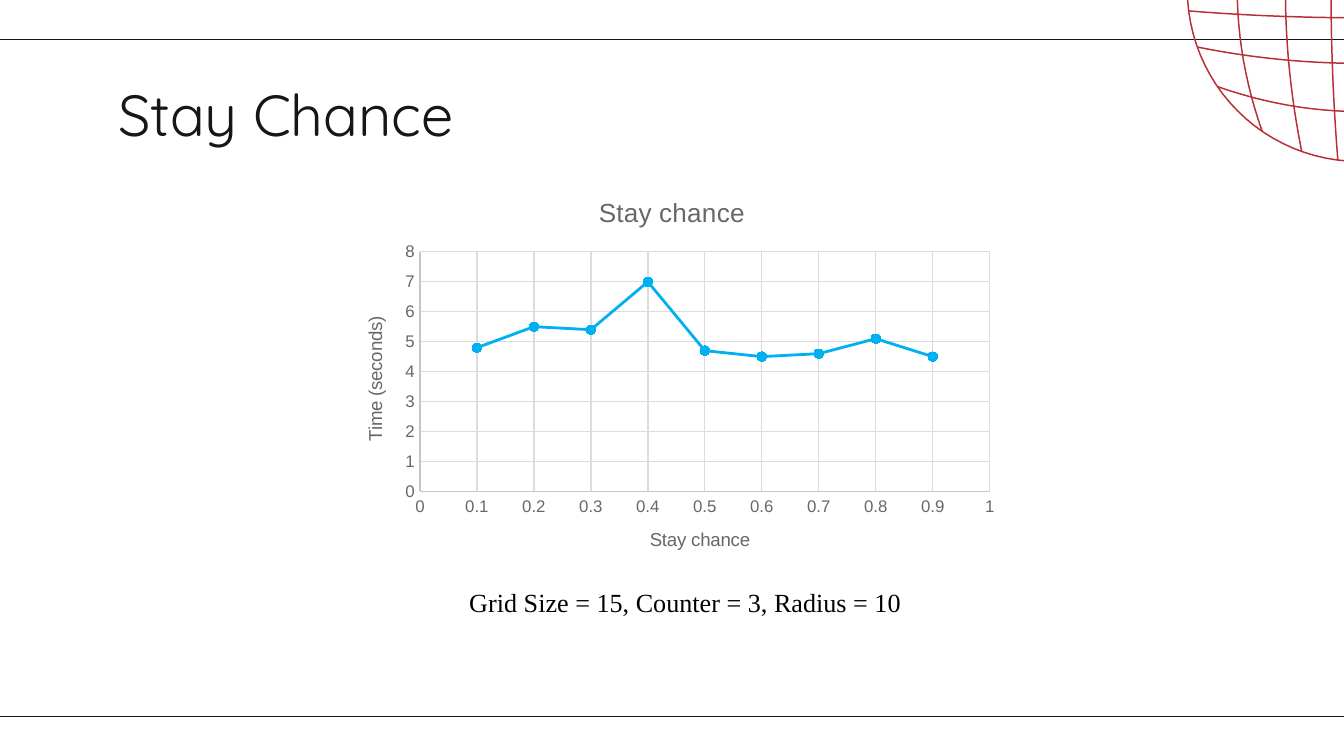
"""Build the stay chance slide: a title, a scatter chart and its settings."""
import math
from dataclasses import dataclass

import lxml.etree
import pptx
import pptx.chart.data
import pptx.dml.color
import pptx.enum.chart
import pptx.enum.shapes
import pptx.enum.text
import pptx.oxml.ns
import pptx.util

SLIDE_WIDTH = pptx.util.Inches(10)
SLIDE_HEIGHT = SLIDE_WIDTH * 9 // 16

INK = pptx.dml.color.RGBColor(0x16, 0x16, 0x16)
BLACK = pptx.dml.color.RGBColor(0x00, 0x00, 0x00)
GLOBE_RED = pptx.dml.color.RGBColor(0xB9, 0x2F, 0x38)
LABEL_GREY = pptx.dml.color.RGBColor(0x68, 0x68, 0x68)
AXIS_GREY = pptx.dml.color.RGBColor(0xC5, 0xC5, 0xC5)
GRID_GREY = pptx.dml.color.RGBColor(0xDC, 0xDC, 0xDC)
SERIES_BLUE = pptx.dml.color.RGBColor(0x00, 0xB0, 0xF0)

STAY_TIMES = (4.8, 5.5, 5.4, 7, 4.7, 4.5, 4.6, 5.1, 4.5)
PLOT_SHARES = {"x": 0.125, "y": 0.188, "w": 0.848, "h": 0.595}
RULE_HEIGHTS = (0.052, 0.948)


@dataclass(frozen=True)
class Area:
    """A rectangle in shares of the slide's size."""
    left: float
    top: float
    width: float
    height: float

    def box(self) -> tuple[int, int, int, int]:
        """Return left, top, width and height as lengths."""
        return (round(self.left * SLIDE_WIDTH), round(self.top * SLIDE_HEIGHT),
                round(self.width * SLIDE_WIDTH), round(self.height * SLIDE_HEIGHT))


@dataclass(frozen=True)
class Wire:
    """A globe wire, offset from the centre in shares of the radius."""
    end: float
    middle: float

    def points(self, side: int, steps: int = 24) -> list[tuple[float, float]]:
        """Return a curve whose ends lie on the globe's rim."""
        reach = math.sqrt(1 - self.end ** 2)
        shares = [2 * step / steps - 1 for step in range(steps + 1)]
        return [(side * (self.middle + (self.end - self.middle) * share ** 2),
                 share * reach) for share in shares]


@dataclass(frozen=True)
class AxisScale:
    """The title, end and step of an axis that starts at zero."""
    title: str
    end: float
    step: float


TITLE_AREA = Area(0.078, 0.086, 0.805, 0.204)
CHART_AREA = Area(0.25, 0.233, 0.5, 0.533)
CAPTION_AREA = Area(0.225, 0.767, 0.57, 0.06)
GLOBE_CENTER = (1.0115, -0.014)
GLOBE_RADIUS = 0.128
GLOBE_WIRES = (Wire(0.125, 0.165), Wire(0.335, 0.43), Wire(0.565, 0.71))


def style_run(run, size: float, face: str, color) -> None:
    """Set the font of one run."""
    run.font.size = pptx.util.Pt(size)
    run.font.name = face
    run.font.bold = False
    run.font.color.rgb = color


def write(frame, text: str, size: float, face: str, color):
    """Add one run to a frame and return its paragraph."""
    paragraph = frame.paragraphs[0]
    run = paragraph.add_run()
    run.text = text
    style_run(run, size, face, color)
    return paragraph


def style_line(line, color, width: float) -> None:
    """Set the colour and width of a line."""
    line.color.rgb = color
    line.width = pptx.util.Pt(width)


def draw_rule(slide, height: float) -> None:
    """Draw a line across the slide."""
    level = round(height * SLIDE_HEIGHT)
    rule = slide.shapes.add_connector(
        pptx.enum.shapes.MSO_CONNECTOR.STRAIGHT, 0, level, SLIDE_WIDTH, level)
    style_line(rule.line, INK, 0.75)
    lxml.etree.SubElement(rule._element.spPr, pptx.oxml.ns.qn("a:effectLst"))


def draw_globe(slide) -> None:
    """Draw the rim, meridians and parallels as one outline."""
    rim = [(math.cos(math.tau * step / 96), math.sin(math.tau * step / 96))
           for step in range(97)]
    meridians = [wire.points(side) for wire in GLOBE_WIRES for side in (-1, 1)]
    parallels = [[(across, along) for along, across in curve] for curve in meridians]
    radius = GLOBE_RADIUS * SLIDE_WIDTH
    center_x = GLOBE_CENTER[0] * SLIDE_WIDTH
    center_y = GLOBE_CENTER[1] * SLIDE_HEIGHT
    contours = [[(round(center_x + radius * x), round(center_y + radius * y))
                 for x, y in curve] for curve in [rim, *meridians, *parallels]]
    builder = slide.shapes.build_freeform(*contours[0][0])
    builder.add_line_segments(contours[0][1:], close=False)
    for contour in contours[1:]:
        builder.move_to(*contour[0])
        builder.add_line_segments(contour[1:], close=False)
    globe = builder.convert_to_shape()
    globe.shadow.inherit = False
    globe.fill.background()
    style_line(globe.line, GLOBE_RED, 0.8)


def format_axis(axis, scale: AxisScale) -> None:
    """Set an axis's scale, title, labels and lines."""
    axis.minimum_scale, axis.maximum_scale = 0, scale.end
    axis.major_unit = scale.step
    axis.major_tick_mark = axis.minor_tick_mark = pptx.enum.chart.XL_TICK_MARK.NONE
    axis.has_major_gridlines = True
    style_line(axis.major_gridlines.format.line, GRID_GREY, 0.75)
    style_line(axis.format.line, AXIS_GREY, 0.75)
    axis.tick_labels.font.size = pptx.util.Pt(9)
    axis.tick_labels.font.name = "Arial"
    axis.tick_labels.font.color.rgb = LABEL_GREY
    axis.tick_labels.number_format = "General"
    axis.tick_labels.number_format_is_linked = False
    write(axis.axis_title.text_frame, scale.title, 10, "Arial", LABEL_GREY)


def place_plot(chart) -> None:
    """Fix the inner plot area in shares of the chart's size."""
    qn = pptx.oxml.ns.qn
    plot_area = chart._chartSpace.chart.plotArea
    for old_layout in plot_area.findall(qn("c:layout")):
        plot_area.remove(old_layout)
    layout = lxml.etree.Element(qn("c:layout"))
    plot_area.insert(0, layout)
    manual = lxml.etree.SubElement(layout, qn("c:manualLayout"))
    settings = {"layoutTarget": "inner", "xMode": "edge", "yMode": "edge", **PLOT_SHARES}
    for tag, value in settings.items():
        lxml.etree.SubElement(manual, qn(f"c:{tag}")).set("val", str(value))


def draw_chart(slide) -> None:
    """Draw the time taken at each stay chance."""
    data = pptx.chart.data.XyChartData()
    times = data.add_series("Series 1")
    for tenth, seconds in enumerate(STAY_TIMES, start=1):
        times.add_data_point(tenth / 10, seconds)
    chart = slide.shapes.add_chart(
        pptx.enum.chart.XL_CHART_TYPE.XY_SCATTER_LINES, *CHART_AREA.box(), data).chart
    chart.font.size = pptx.util.Pt(10)
    chart.font.name = "Arial"
    chart.font.color.rgb = INK
    chart.has_legend = False
    write(chart.chart_title.text_frame, "Stay chance", 14, "Arial", LABEL_GREY)
    format_axis(chart.category_axis, AxisScale("Stay chance", 1, 0.1))
    format_axis(chart.value_axis, AxisScale("Time (seconds)", 8, 1))
    plot = chart.plots[0]
    plot.vary_by_categories = False
    series = plot.series[0]
    series.smooth = False
    style_line(series.format.line, SERIES_BLUE, 1.5)
    series.marker.style = pptx.enum.chart.XL_MARKER_STYLE.CIRCLE
    series.marker.size = 5
    series.marker.format.fill.solid()
    series.marker.format.fill.fore_color.rgb = SERIES_BLUE
    style_line(series.marker.format.line, SERIES_BLUE, 0.75)
    place_plot(chart)


def main() -> None:
    """Build and save the slide."""
    deck = pptx.Presentation()
    deck.slide_width, deck.slide_height = SLIDE_WIDTH, SLIDE_HEIGHT
    slide = deck.slides.add_slide(deck.slide_layouts[5])
    for height in RULE_HEIGHTS:
        draw_rule(slide, height)
    draw_globe(slide)

    heading = slide.shapes.title
    heading.left, heading.top, heading.width, heading.height = TITLE_AREA.box()
    frame = heading.text_frame
    frame.auto_size = pptx.enum.text.MSO_AUTO_SIZE.NONE
    frame.vertical_anchor = pptx.enum.text.MSO_ANCHOR.TOP
    frame.margin_top = frame.margin_bottom = pptx.util.Inches(0.1)
    words = write(frame, "Stay Chance", 31, "Quicksand", INK)
    words.alignment = pptx.enum.text.PP_ALIGN.LEFT

    draw_chart(slide)
    caption = slide.shapes.add_textbox(*CAPTION_AREA.box()).text_frame
    caption.word_wrap = True
    settings = write(caption, "Grid Size = 15, Counter = 3, Radius = 10",
                     14, "Times New Roman", BLACK)
    settings.alignment = pptx.enum.text.PP_ALIGN.CENTER
    deck.save("out.pptx")


if __name__ == "__main__":
    main()
